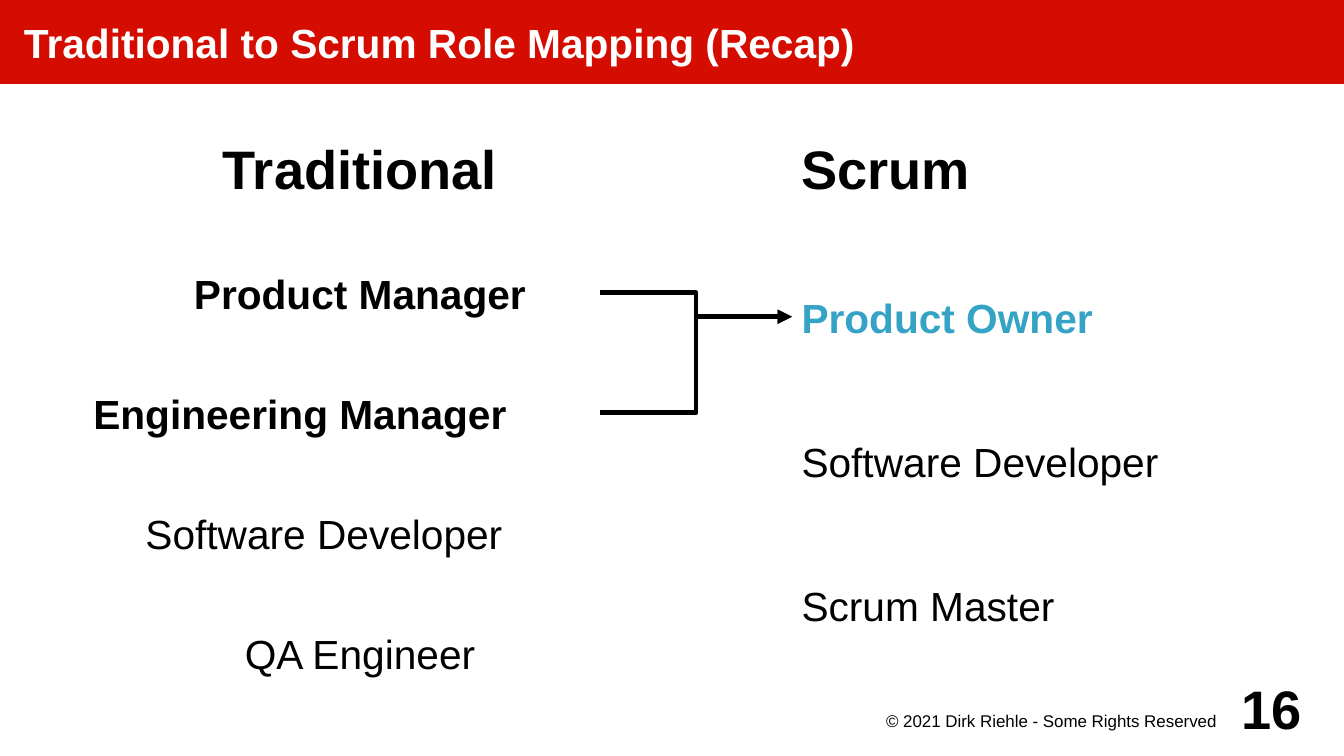
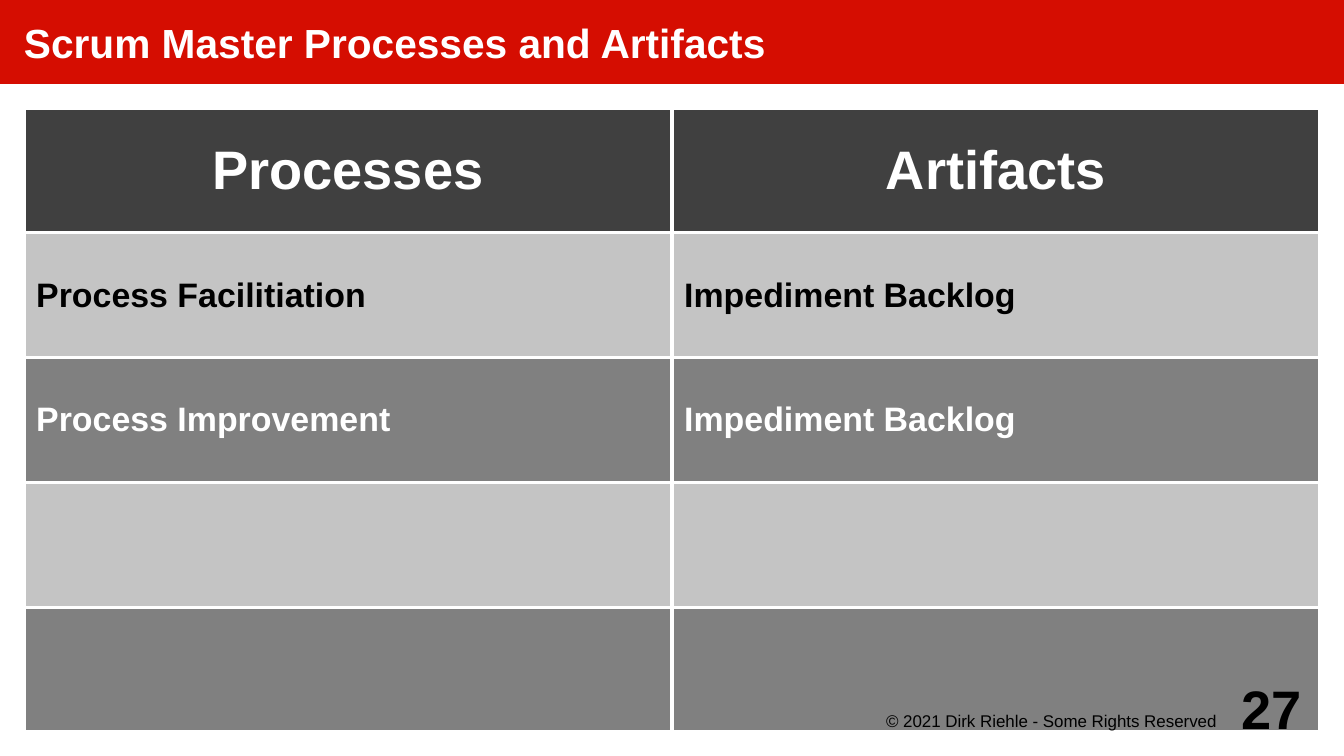
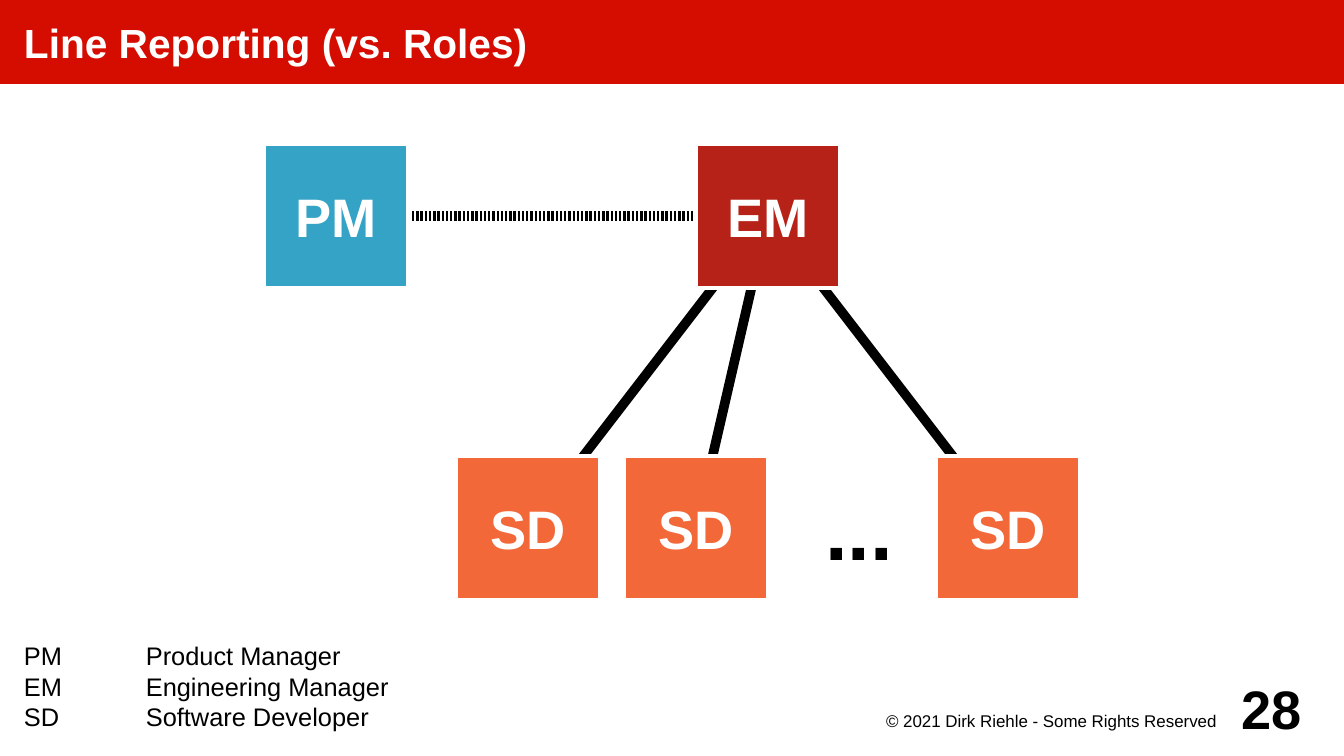
"""Build three slides on Scrum roles, processes and line reporting."""
from lxml import etree
from pptx import Presentation
from pptx.dml.color import RGBColor
from pptx.enum.shapes import MSO_CONNECTOR, MSO_SHAPE
from pptx.enum.text import MSO_ANCHOR, MSO_AUTO_SIZE, PP_ALIGN
from pptx.oxml.ns import qn
from pptx.util import Cm, Inches, Pt

STRAIGHT, ELBOW = MSO_CONNECTOR.STRAIGHT, MSO_CONNECTOR.ELBOW
RECT, OVAL = MSO_SHAPE.RECTANGLE, MSO_SHAPE.OVAL
LEFT, CENTER = PP_ALIGN.LEFT, PP_ALIGN.CENTER
TOP, MIDDLE, BOTTOM = MSO_ANCHOR.TOP, MSO_ANCHOR.MIDDLE, MSO_ANCHOR.BOTTOM
NO_FIT = MSO_AUTO_SIZE.NONE

WIDTH, HEIGHT = 28, 15.75
BAND_HEIGHT = HEIGHT / 9
NODE = 3
TITLE_ONLY = 5
FONT = "Arial"
COLORS = {
    "band": "D50D01", "white": "FFFFFF", "black": "000000",
    "product": "34A3C5", "manager": "B62118", "developer": "F36838",
    "header": "404040", "light": "C4C4C4", "dark": "808080",
}
COPYRIGHT = "© 2021 Dirk Riehle - Some Rights Reserved"


def rgb(name):
    """Return a named colour."""
    return RGBColor.from_string(COLORS[name])


def apply(target, values):
    """Set every attribute in a dict of format values."""
    for attribute, value in values.items():
        setattr(target, attribute, value)


def write(frame, text, size, color="black", bold=False, align=LEFT, tab=None):
    """Fill a text frame with one formatted paragraph per line."""
    for index, line in enumerate(text.split("\n")):
        paragraph = frame.add_paragraph() if index else frame.paragraphs[0]
        paragraph.alignment = align
        if tab:
            stops = etree.SubElement(paragraph._p.get_or_add_pPr(), qn("a:tabLst"))
            etree.SubElement(stops, qn("a:tab"), pos=str(tab), algn="l")
        run = paragraph.add_run()
        run.text = line
        apply(run.font, {"name": FONT, "size": Pt(size), "bold": bold})
        run.font.color.rgb = rgb(color)


def set_frame(frame, insets, anchor=MIDDLE, wrap=True):
    """Set the margins, anchor and wrapping of a text frame."""
    sides = ("margin_left", "margin_top", "margin_right", "margin_bottom")
    apply(frame, dict(zip(sides, map(Cm, insets))))
    apply(frame, {"auto_size": NO_FIT, "vertical_anchor": anchor, "word_wrap": wrap})


def add_label(slide, box, text, size, insets=(0.2,) * 4, anchor=MIDDLE, **style):
    """Add a text box on the centimetre grid."""
    label = slide.shapes.add_textbox(*map(Cm, box))
    set_frame(label.text_frame, insets, anchor)
    write(label.text_frame, text, size, **style)
    return label


def add_line(slide, kind, start, end, weight):
    """Add a black connector without shadow."""
    line = slide.shapes.add_connector(kind, *map(Cm, (*start, *end)))
    line.line.color.rgb = rgb("black")
    line.line.width = Pt(weight)
    etree.SubElement(line._element.spPr, qn("a:effectLst"))
    return line


def add_arrow(slide, source, target):
    """Join two labels by an elbow arrow from right side to left side."""
    arrow = add_line(slide, ELBOW, (0, 0), (1, 1), 2.83)
    arrow.begin_connect(source, 3)
    arrow.end_connect(target, 1)
    etree.SubElement(arrow.line._get_or_add_ln(), qn("a:tailEnd"), type="triangle")


def add_node(slide, corner, text, fill, shape=RECT, size=32, color="white"):
    """Add a square chart node with a white outline."""
    node = slide.shapes.add_shape(shape, *map(Cm, (*corner, NODE, NODE)))
    node.shadow.inherit = False
    node.fill.solid()
    node.fill.fore_color.rgb = rgb(fill)
    node.line.color.rgb = rgb("white")
    node.line.width = Pt(2.83)
    set_frame(node.text_frame, (0.2,) * 4, wrap=False)
    write(node.text_frame, text, size, color, True, CENTER)


def border_cell(cell):
    """Draw white borders on all sides of a cell."""
    properties = cell._tc.get_or_add_tcPr()
    for index, side in enumerate(("lnL", "lnR", "lnT", "lnB")):
        border = etree.Element(qn(f"a:{side}"), w=str(Pt(2.27)))
        solid = etree.SubElement(border, qn("a:solidFill"))
        etree.SubElement(solid, qn("a:srgbClr"), val=COLORS["white"])
        properties.insert(index, border)


def add_page(prs, heading):
    """Add a slide with the title band."""
    slide = prs.slides.add_slide(prs.slide_layouts[TITLE_ONLY])
    title = slide.shapes.title
    apply(title, {"left": 0, "top": 0, "width": Cm(WIDTH), "height": Cm(BAND_HEIGHT)})
    title.fill.solid()
    title.fill.fore_color.rgb = rgb("band")
    set_frame(title.text_frame, (0.5, 0, 0, 0))
    write(title.text_frame, heading, 24, "white", True)
    return slide


def add_footer(slide, number):
    """Add the copyright line and the page number."""
    add_label(slide, (18, 14.75, 8, 0.75), COPYRIGHT, 10,
              (0, 0.05, 0.2, 0), TOP, align=CENTER)
    add_label(slide, (25.5, 14, 2, 1.5), str(number), 32, (0,) * 4,
              bold=True, align=CENTER)


def build_mapping(slide):
    """Map the traditional roles to the Scrum roles."""
    middle, scrum_left, first_row = 12.5, 16.5, 4.6
    add_label(slide, (2.5, 2, 10, 3), "Traditional", 32, bold=True, align=CENTER)
    add_label(slide, (scrum_left, 2, 10, 3), "Scrum", 32, bold=True)
    traditional = [
        ("Product Manager", 10, True), ("Engineering Manager", 12.5, True),
        ("Software Developer", 11.5, False), ("QA Engineer", 10, False),
    ]
    scrum = [
        ("Product Owner", "product", True), ("Software Developer", "black", False),
        ("Scrum Master", "black", False),
    ]
    old_roles = [
        add_label(slide, (middle - width, first_row + 2.5 * row, width, 3), role, 24,
                  bold=bold, align=CENTER)
        for row, (role, width, bold) in enumerate(traditional)
    ]
    new_roles = [
        add_label(slide, (scrum_left, first_row + 3 * row, 11, 4), role, 24,
                  color=color, bold=bold)
        for row, (role, color, bold) in enumerate(scrum)
    ]
    for manager in old_roles[:2]:
        add_arrow(slide, manager, new_roles[0])


def build_processes(slide):
    """List the Scrum Master's processes and artifacts in a table."""
    content = [
        ("Processes", "Artifacts"),
        ("Process Facilitiation", "Impediment Backlog"),
        ("Process Improvement", "Impediment Backlog"),
        ("", ""), ("", ""),
    ]
    header = ("header", "white", 32, CENTER)
    bands = [("dark", "white", 20, LEFT), ("light", "black", 20, LEFT)]
    table = slide.shapes.add_table(
        len(content), 2, *map(Cm, (0.5, 2.25, WIDTH - 1, 13))).table
    for row, texts in enumerate(content):
        fill, color, size, align = bands[row % 2] if row else header
        for column, text in enumerate(texts):
            cell = table.cell(row, column)
            cell.vertical_anchor = MIDDLE
            cell.fill.solid()
            cell.fill.fore_color.rgb = rgb(fill)
            border_cell(cell)
            if text:
                write(cell.text_frame, text, size, color, True, align)


def build_reporting(slide):
    """Draw the reporting lines, the nodes and the legend."""
    top, bottom = 3, 9.5
    product, manager = (5.5, top), (14.5, top)
    developers = [(left, bottom) for left in (9.5, 13, 19.5)]

    def center(corner):
        """Return the centre of a node."""
        return tuple(value + NODE / 2 for value in corner)

    dotted = add_line(slide, STRAIGHT, center(product), center(manager), 5.67)
    dash = etree.Element(qn("a:custDash"))
    etree.SubElement(dash, qn("a:ds"), d="25000", sp="19000")
    dotted.line._get_or_add_ln().find(qn("a:solidFill")).addnext(dash)
    for developer in developers:
        add_line(slide, STRAIGHT, center(manager), center(developer), 5.67)

    add_node(slide, product, "PM", "product")
    add_node(slide, manager, "EM", "manager")
    add_node(slide, (16.4, bottom), "...", "white", OVAL, 48, "black")
    for developer in developers:
        add_node(slide, developer, "SD", "developer")

    legend = "PM\tProduct Manager\nEM\tEngineering Manager\nSD\tSoftware Developer"
    add_label(slide, (0, HEIGHT - 4, 20, 4), legend, 15, (0.5,) * 4, BOTTOM,
              tab=Inches(1))


def main():
    """Build and save the presentation."""
    prs = Presentation()
    prs.slide_width, prs.slide_height = Cm(WIDTH), Cm(HEIGHT)
    pages = [
        ("Traditional to Scrum Role Mapping (Recap)", build_mapping, 16),
        ("Scrum Master Processes and Artifacts", build_processes, 27),
        ("Line Reporting (vs. Roles)", build_reporting, 28),
    ]
    for heading, build, number in pages:
        slide = add_page(prs, heading)
        build(slide)
        add_footer(slide, number)
    prs.save("out.pptx")


if __name__ == "__main__":
    main()
